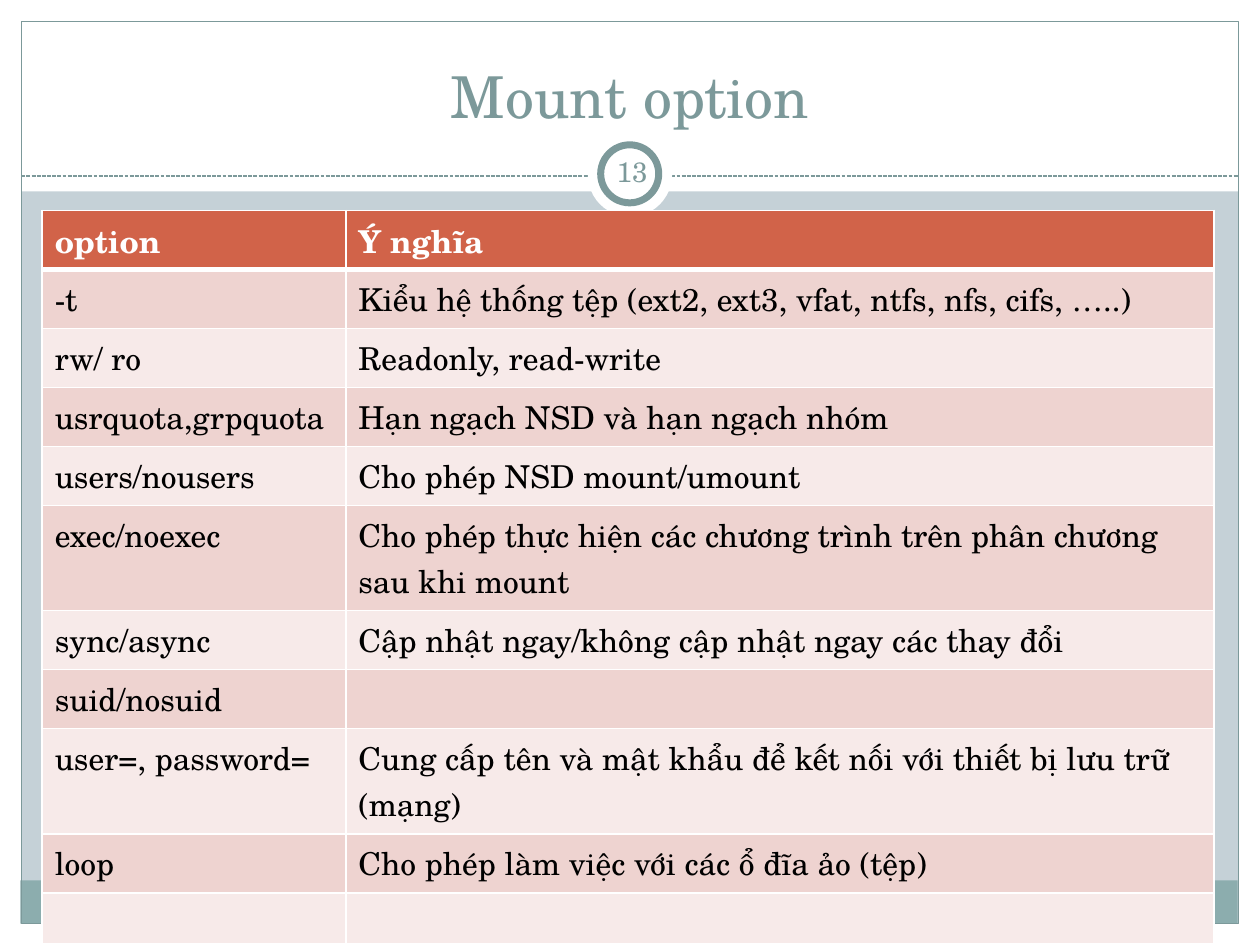
from lxml.etree import SubElement
from pptx import Presentation
from pptx.dml.color import RGBColor
from pptx.enum.dml import MSO_LINE
from pptx.enum.shapes import MSO_CONNECTOR, MSO_SHAPE
from pptx.enum.text import MSO_ANCHOR, MSO_AUTO_SIZE, PP_ALIGN
from pptx.oxml.ns import qn
from pptx.util import Cm, Pt

FONT = "TeX Gyre Schola"
COLORS = {
    "background": "C5D1D7",
    "white": "FFFFFF",
    "black": "000000",
    "teal": "7C999A",
    "footer": "8CADAE",
    "header": "D16349",
    "odd": "EED3D0",
    "even": "F7EAE9",
}
MARGINS = [
    (0, 18.62, 25.4, 0.43),
    (0, 0, 25.4, 3.86),
    (0, 0, 0.43, 19.05),
    (24.97, 0, 0.43, 19.05),
]
COLUMN_WIDTHS = (6.12, 17.5)
EMPTY_HEIGHT = 1.03
LINE_HEIGHT = 0.93
CELL_PADDING = 0.26
CHARACTERS_PER_LINE = 60
OPTIONS = [
    ("option", "Ý nghĩa"),
    ("-t", "Kiểu hệ thống tệp (ext2, ext3, vfat, ntfs, nfs, cifs, …..)"),
    ("rw/ ro", "Readonly, read-write"),
    ("usrquota,grpquota ", "Hạn ngạch NSD và hạn ngạch nhóm"),
    ("users/nousers", "Cho phép NSD mount/umount"),
    ("exec/noexec", "Cho phép thực hiện các chương trình trên phân chương sau khi mount"),
    ("sync/async", "Cập nhật ngay/không cập nhật ngay các thay đổi"),
    ("suid/nosuid", ""),
    ("user=, password=", "Cung cấp tên và mật khẩu để kết nối với thiết bị lưu trữ (mạng)"),
    ("loop", "Cho phép làm việc với các ổ đĩa ảo (tệp)"),
    ("", ""),
    ("", ""),
]


def color(name):
    return RGBColor.from_string(COLORS[name])


def write(frame, text, size, ink, align=PP_ALIGN.LEFT, bold=False):
    frame.text = text
    para = frame.paragraphs[0]
    para.alignment = align
    for span in para.runs:
        span.font.name = FONT
        span.font.size = Pt(size)
        span.font.bold = bold
        span.font.color.rgb = color(ink)


def add_panel(page, place, fill=None, line=None, width=0.75, kind=MSO_SHAPE.RECTANGLE):
    panel = page.shapes.add_shape(kind, *map(Cm, place))
    panel.shadow.inherit = False
    if fill:
        panel.fill.solid()
        panel.fill.fore_color.rgb = color(fill)
    else:
        panel.fill.background()
    if line:
        panel.line.color.rgb = color(line)
        panel.line.width = Pt(width)
    else:
        panel.line.fill.background()


def add_divider(page):
    divider = page.shapes.add_connector(
        MSO_CONNECTOR.STRAIGHT, Cm(0.43), Cm(3.55), Cm(24.97), Cm(3.55))
    divider.line.color.rgb = color("teal")
    divider.line.width = Pt(0.75)
    divider.line.dash_style = MSO_LINE.SQUARE_DOT
    SubElement(divider._element.spPr, qn("a:effectLst"))


def add_frame(page):
    for place in MARGINS:
        add_panel(page, place, "white")
    add_panel(page, (0.41, 17.75, 24.54, 0.87), "footer")
    add_panel(page, (0.43, 0.43, 24.54, 18.19), line="teal")
    add_divider(page)
    add_panel(page, (11.85, 2.67, 1.7, 1.7), "white", kind=MSO_SHAPE.OVAL)
    add_panel(page, (12.11, 2.92, 1.17, 1.17), "white", "teal", 4, MSO_SHAPE.OVAL)


def set_title(page, text):
    title = page.shapes.title
    title.left, title.top, title.width, title.height = map(Cm, (0.85, 0.64, 23.7, 2.1))
    title.text_frame.auto_size = MSO_AUTO_SIZE.NONE
    title.text_frame.vertical_anchor = MSO_ANCHOR.BOTTOM
    write(title.text_frame, text, 33, "teal", PP_ALIGN.CENTER)
    tree = page.shapes._spTree
    tree.remove(title._element)
    tree.append(title._element)


def add_page_number(page, number):
    box = page.shapes.add_textbox(Cm(12.11), Cm(2.84), Cm(1.27), Cm(1.22))
    frame = box.text_frame
    frame.word_wrap = True
    frame.vertical_anchor = MSO_ANCHOR.MIDDLE
    frame.margin_left = frame.margin_right = Cm(0.13)
    frame.margin_top = frame.margin_bottom = Cm(0.13)
    write(frame, number, 16, "teal", PP_ALIGN.CENTER)


def set_borders(cell, widths):
    properties = cell._tc.get_or_add_tcPr()
    for side, width in widths.items():
        border = SubElement(properties, qn(f"a:ln{side}"), w=str(Pt(width)))
        fill = SubElement(border, qn("a:solidFill"))
        SubElement(fill, qn("a:srgbClr"), val=COLORS["white"])


def row_height(texts):
    if not any(texts):
        return EMPTY_HEIGHT
    lines = 2 if len(texts[1]) > CHARACTERS_PER_LINE else 1
    return CELL_PADDING + lines * LINE_HEIGHT


def add_option_table(page):
    heights = [row_height(texts) for texts in OPTIONS]
    table = page.shapes.add_table(
        len(OPTIONS), len(COLUMN_WIDTHS), Cm(0.85), Cm(4.24),
        Cm(sum(COLUMN_WIDTHS)), Cm(sum(heights))).table
    for column, width in zip(table.columns, COLUMN_WIDTHS):
        column.width = Cm(width)
    for index, texts in enumerate(OPTIONS):
        table.rows[index].height = Cm(heights[index])
        header = index == 0
        shade = "header" if header else ("odd" if index % 2 else "even")
        top = 3 if index == 1 else 1
        bottom = 3 if header else 1
        for cell, text in zip(table.rows[index].cells, texts):
            set_borders(cell, {"L": 1, "R": 1, "T": top, "B": bottom})
            cell.fill.solid()
            cell.fill.fore_color.rgb = color(shade)
            write(cell.text_frame, text, 18, "white" if header else "black", bold=header)


def main():
    deck = Presentation()
    deck.slide_width, deck.slide_height = Cm(25.4), Cm(19.05)
    page = deck.slides.add_slide(deck.slide_layouts[5])
    page.background.fill.solid()
    page.background.fill.fore_color.rgb = color("background")
    add_frame(page)
    set_title(page, "Mount option")
    add_page_number(page, "13")
    add_option_table(page)
    deck.save("out.pptx")


main()
